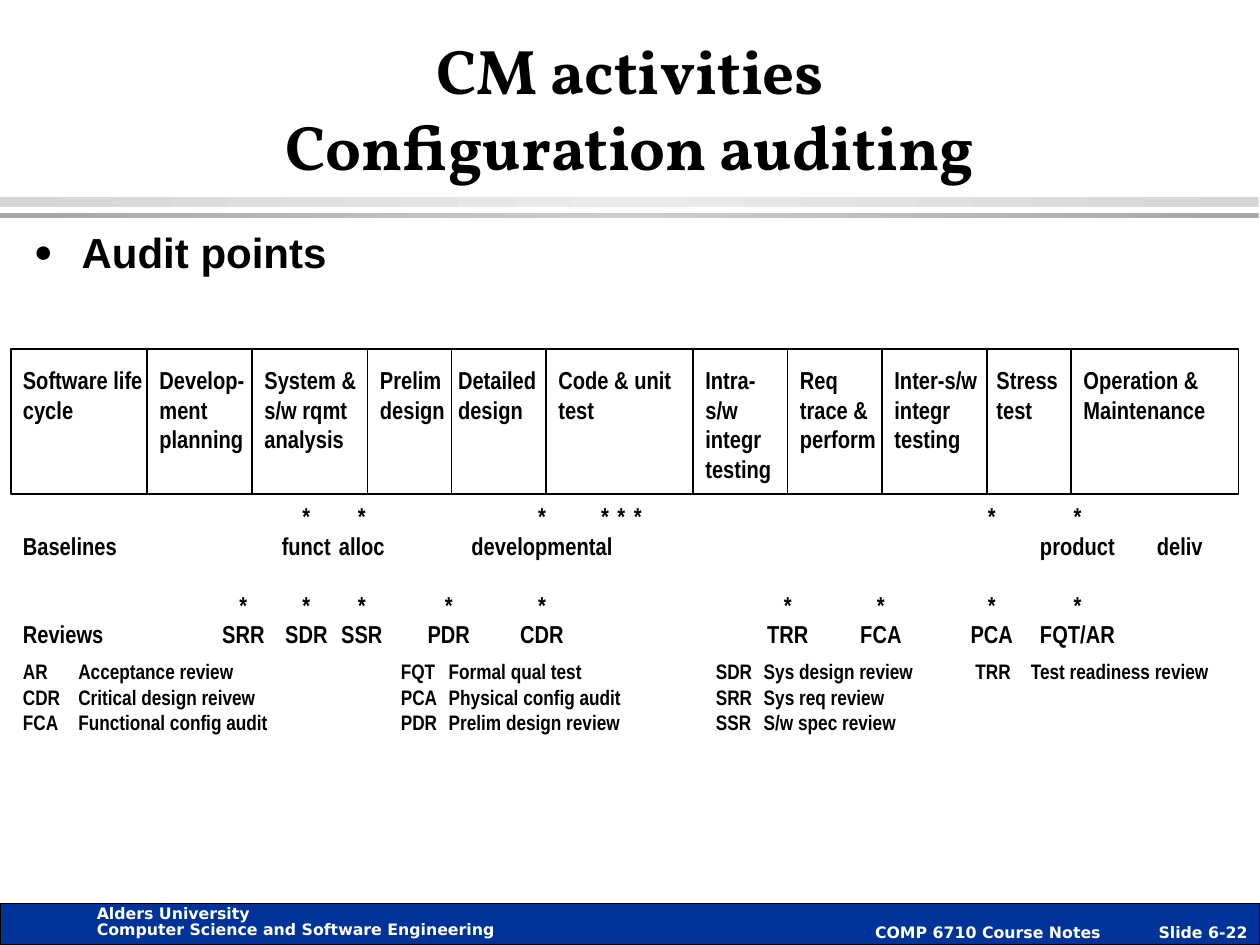
from copy import deepcopy
from lxml.etree import SubElement
from pptx import Presentation
from pptx.dml.color import RGBColor
from pptx.enum.shapes import MSO_CONNECTOR, MSO_SHAPE
from pptx.enum.text import MSO_ANCHOR, PP_ALIGN
from pptx.oxml.ns import qn
from pptx.util import Inches, Pt

BLACK = RGBColor(0, 0, 0)
WHITE = RGBColor(255, 255, 255)
NAVY = RGBColor(0x00, 0x33, 0x99)
LIGHT = (RGBColor(0xD5, 0xD5, 0xD5), RGBColor(0xEB, 0xEB, 0xEB))
DARK = (RGBColor(0xA5, 0xA5, 0xA5), RGBColor(0xCE, 0xCE, 0xCE))
COL = 1 / 12  # grid column in inches

# Phase texts: first column, width in columns, lines, tab stop
PHASES = [
    (1, 14.2, ["Software life", "cycle"], None),
    (14, 11.2, ["Develop-ment planning"], None),
    (24, 13.1, ["System & s/w rqmt analysis"], None),
    (35, 18.1, ["Prelim\tDetailed", "design\tdesign"], 0.62),
    (52, 15.1, ["Code & unit", "test"], None),
    (66, 10.1, ["Intra-s/w integr testing"], None),
    (75, 10.1, ["Req trace & perform"], None),
    (84, 19.1, ["Inter-s/w\tStress", "integr\ttest", "testing"], 0.81),
    (102, 17.2, ["Operation &", "Maintenance"], None),
]
DIVIDERS = [14, 24, 35, 43, 52, 66, 75, 84, 94, 102]

AUDIT_TABS = [1.75, 2.25, 2.69, 3.38, 4.12, 4.62, 4.75, 4.88, 5.4,
              6.07, 6.81, 7.69, 8.37]
AUDIT_ROWS = [
    "\t\t*\t*\t\t*\t*\t*\t*\t\t\t\t*\t*",
    "Baselines\t\tfunct\talloc\t\tdevelopmental\t\t\t\t\t\t\tproduct\tdeliv",
    "\t*\t*\t*\t*\t*\t\t\t\t\t*\t*\t*\t*",
    "Reviews\tSRR\tSDR\tSSR\tPDR\tCDR\t\t\t\t\tTRR\tFCA\tPCA\tFQT/AR",
]
KEY_TABS = [0.44, 3, 3.38, 5.5, 5.88, 7.56, 8]
KEY_ROWS = [
    "AR\tAcceptance review\tFQT\tFormal qual test\tSDR\tSys design review"
    "\tTRR\tTest readiness review",
    "CDR\tCritical design reivew\tPCA\tPhysical config audit\tSRR\tSys req review",
    "FCA\tFunctional config audit\tPDR\tPrelim design review\tSSR\tS/w spec review",
]


def set_tabs(p, stops, align):
    tab_list = SubElement(p._p.get_or_add_pPr(), qn("a:tabLst"))
    for stop in stops:
        SubElement(tab_list, qn("a:tab"), pos=str(Inches(stop)), algn=align)


def add_run(p, text, size, font, color=BLACK):
    r = p.add_run()
    r.text = text
    r.font.size, r.font.name, r.font.bold = Pt(size), font, True
    r.font.color.rgb = color


def add_text(slide, box, lines, size, font="Arial Narrow", color=BLACK,
             tabs=(), tab_align="l"):
    sp = slide.shapes.add_textbox(*map(Inches, box))
    tf = sp.text_frame
    tf.word_wrap = True
    for i, line in enumerate(lines):
        p = tf.add_paragraph() if i else tf.paragraphs[0]
        if tabs:
            set_tabs(p, tabs, tab_align)
        add_run(p, line, size, font, color)
    return tf


def add_rect(slide, box):
    sp = slide.shapes.add_shape(MSO_SHAPE.RECTANGLE, *map(Inches, box))
    sp.shadow.inherit = False
    return sp


def add_band(slide, box, colors):
    edge, middle = colors
    sp = add_rect(slide, box)
    sp.line.fill.background()
    sp.fill.gradient()
    sp.fill.gradient_angle = 0
    stops = sp.fill._fill._gradFill.find(qn("a:gsLst"))
    stops.insert(1, deepcopy(stops[0]))
    for stop, pos, color in zip(sp.fill.gradient_stops, (0, 0.5, 1),
                                (edge, middle, edge)):
        stop.position, stop.color.rgb = pos, color


def add_header(slide, box):
    x, y, w, h = box
    # Double rule under the title
    add_band(slide, (0, y + h + 0.06, 9.99, 0.08), LIGHT)
    add_band(slide, (0, y + h + 0.19, 9.99, 0.04), DARK)
    tf = add_text(slide, box, ["CM activities"], 36, "Vollkorn")
    tf.vertical_anchor = MSO_ANCHOR.BOTTOM
    p = tf.paragraphs[0]
    p.alignment = PP_ALIGN.CENTER
    p.add_line_break()
    add_run(p, "Configuration auditing", 36, "Vollkorn")


def add_bullet(slide, box, text):
    p = add_text(slide, box, [text], 24, "Arial").paragraphs[0]
    p.space_before = Pt(4)
    pPr = p._p.get_or_add_pPr()
    pPr.set("marL", str(Inches(0.38)))
    pPr.set("indent", str(-Inches(0.38)))
    SubElement(pPr, qn("a:buSzPct"), val="75000")
    SubElement(pPr, qn("a:buFont"), typeface="Arial")
    SubElement(pPr, qn("a:buChar"), char="●")


def add_life_cycle(slide, box):
    x, y, w, h = box
    frame = add_rect(slide, box)
    frame.fill.background()
    frame.line.color.rgb, frame.line.width = BLACK, Pt(1)
    # Phase dividers
    for col in DIVIDERS:
        cx = Inches(col * COL)
        line = slide.shapes.add_connector(MSO_CONNECTOR.STRAIGHT, cx, Inches(y),
                                          cx, Inches(y + h))
        line.line.color.rgb, line.line.width = BLACK, Pt(1)
        SubElement(line._element.spPr, qn("a:effectLst"))
    # Phase names
    for col, cols, lines, tab in PHASES:
        add_text(slide, (col * COL, y + 0.08, cols * COL, h - 0.12), lines, 14,
                 tabs=[tab] if tab else ())


def add_audit_points(slide, box):
    tf = add_text(slide, box, AUDIT_ROWS, 14, tabs=AUDIT_TABS, tab_align="ctr")
    tf.paragraphs[2].space_before = Pt(16.8)


def add_footer(slide, box):
    x, y, w, h = box
    bar = add_rect(slide, box)
    bar.fill.solid()
    bar.fill.fore_color.rgb = NAVY
    bar.line.color.rgb, bar.line.width = BLACK, Pt(0.75)
    tf = bar.text_frame
    tf.word_wrap = False
    tf.vertical_anchor = MSO_ANCHOR.BOTTOM
    tf.margin_bottom = Inches(0.03)
    p = tf.paragraphs[0]
    p.alignment = PP_ALIGN.RIGHT
    pPr = p._p.get_or_add_pPr()
    pPr.set("marL", str(Inches(0.25)))
    pPr.set("indent", str(-Inches(0.25)))
    add_run(p, "COMP 6710 Course Notes\tSlide 6-22", 9, "DejaVu Sans", WHITE)
    # School and department
    tf = add_text(slide, (0.67, y - 0.02, 3.36, 0.35),
                  ["Alders University", "Computer Science and Software Engineering"],
                  9, "DejaVu Sans", WHITE)
    tf.word_wrap = False
    for p in tf.paragraphs:
        p.line_spacing = Pt(9)


prs = Presentation()
prs.slide_width, prs.slide_height = Inches(10), Inches(7.5)
slide = prs.slides.add_slide(prs.slide_layouts[6])
add_header(slide, (0.75, 0.25, 8.5, 1.25))
add_bullet(slide, (0.17, 1.75, 9.5, 0.5), "Audit points")
add_life_cycle(slide, (0.09, 2.77, 9.74, 1.15))
add_audit_points(slide, (COL, 3.93, 9.76, 1.26))
add_text(slide, (COL, 5.18, 9.84, 0.9), KEY_ROWS, 12, tabs=KEY_TABS)
add_footer(slide, (0, 7.17, 10, 0.33))
prs.save("out.pptx")
